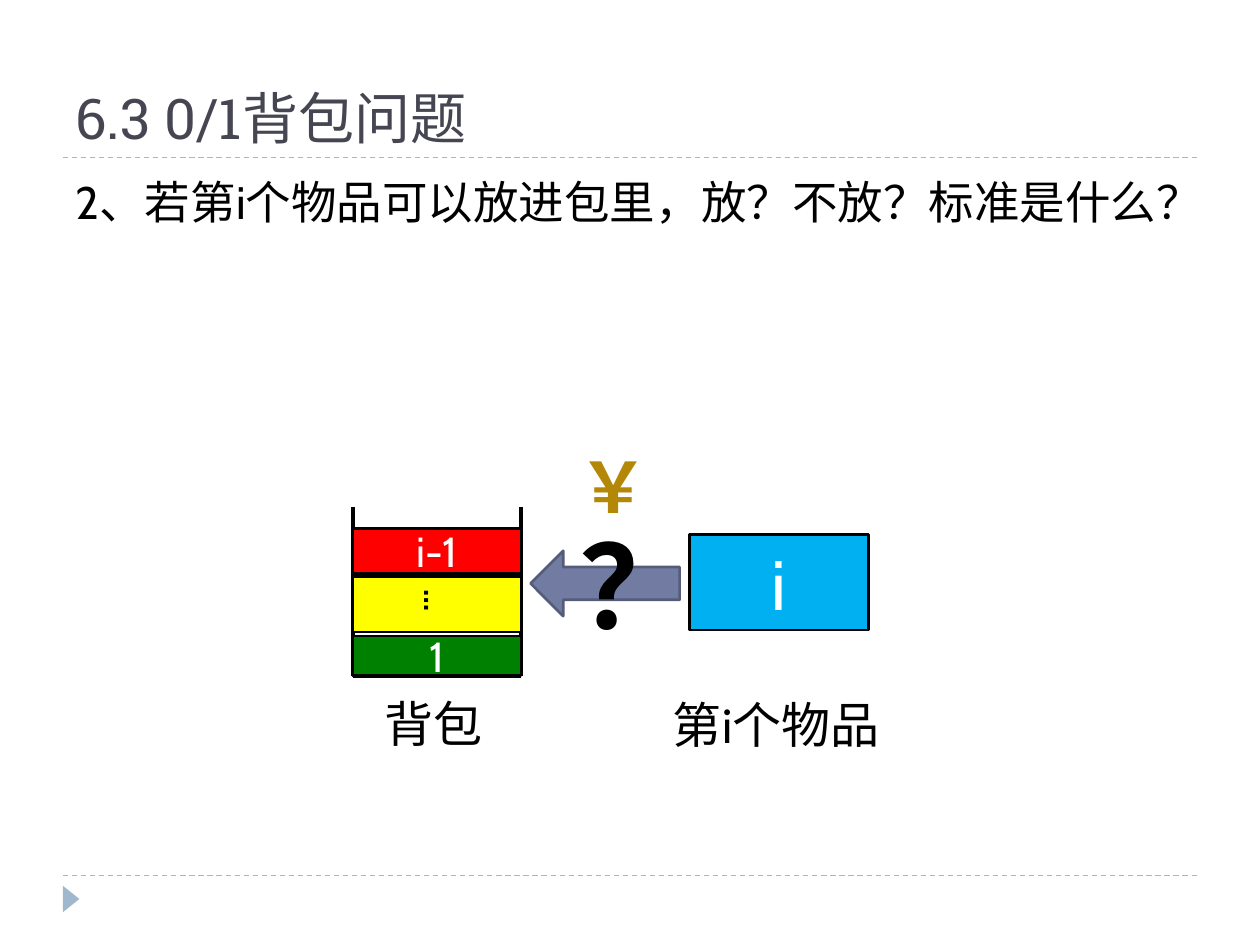
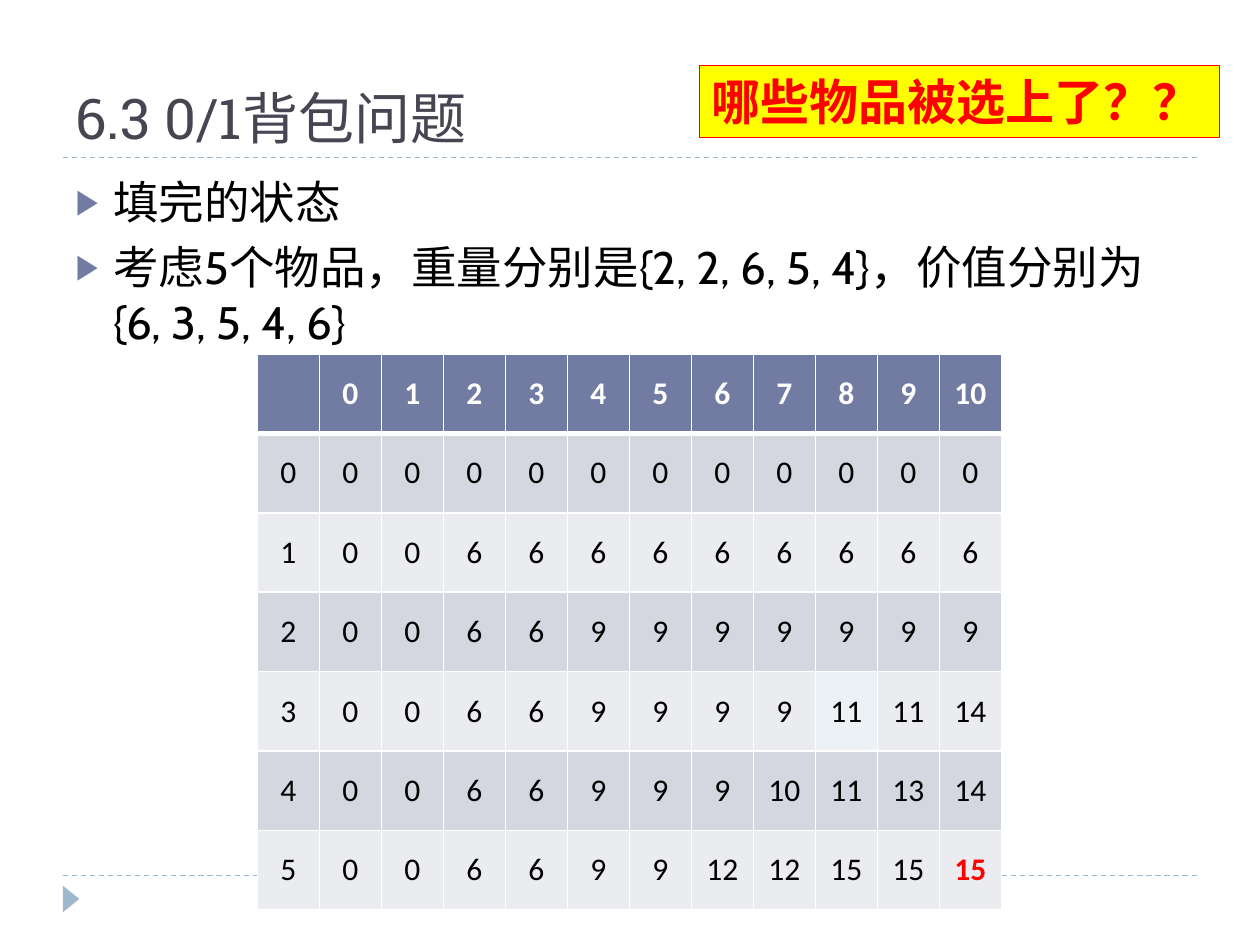
from dataclasses import dataclass

from lxml import etree
from pptx import Presentation
from pptx.dml.color import RGBColor
from pptx.enum import dml, shapes as kinds, text
from pptx.oxml import ns
from pptx.util import Pt


@dataclass(frozen=True)
class Theme:
    """Colours, fonts and type sizes of the deck."""
    ink: str = "000000"
    white: str = "FFFFFF"
    head: str = "464653"
    rule: str = "9FB8CD"
    main: str = "727CA3"
    edge: str = "545C79"
    red: str = "FF0000"
    yellow: str = "FFFF00"
    green: str = "008000"
    blue: str = "00B0F0"
    gold: str = "B38807"
    bands: tuple = ("D5D7E0", "EBECF0")
    pale: str = "ECF1F5"
    slab: str = "Roboto Slab"
    sans: str = "Cabin"
    plain: str = "Calibri"
    title: int = 32
    body: int = 26
    label: int = 28
    item: int = 24
    cell: int = 18
    big: int = 40
    huge: int = 66


T = Theme()
TITLE = "6.3 0/1背包问题"
LOADS, WORTHS, ROOM = [2, 2, 6, 5, 4], [6, 3, 5, 4, 6], 10
RECT = kinds.MSO_SHAPE.RECTANGLE
MID = text.MSO_ANCHOR.MIDDLE
CENTER = text.PP_ALIGN.CENTER


def rgb(code):
    """Turn a hex code into a colour."""
    return RGBColor.from_string(code)


def pts(*nums):
    """Turn numbers into lengths in points."""
    return [Pt(n) for n in nums]


def sub(node, tag, **attrs):
    """Append a DrawingML child to a node."""
    return etree.SubElement(node, ns.qn("a:" + tag), attrs)


def style(par, size, face, color=T.ink, bold=False, align=None):
    """Format one paragraph."""
    font = par.font
    font.size, font.name, font.bold = Pt(size), face, bold
    font.color.rgb = rgb(color)
    par.alignment = align


def paint(shape, fill, line=None, width=1.5):
    """Give a shape its flat fill and outline."""
    shape.fill.solid()
    shape.fill.fore_color.rgb = rgb(fill)
    if line:
        shape.line.color.rgb = rgb(line)
        shape.line.width = Pt(width)
    else:
        shape.line.fill.background()


def block(shapes, kind, box, fill, line=None):
    """Add a painted preset shape without shadow."""
    shape = shapes.add_shape(kind, *pts(*box))
    shape.shadow.inherit = False
    paint(shape, fill, line)
    return shape


def tile(shapes, box, fill, words, size, color=T.white, bold=False):
    """Add an outlined box with centred text."""
    shape = block(shapes, RECT, box, fill, T.ink)
    frame = shape.text_frame
    frame.text, frame.vertical_anchor = words, MID
    style(frame.paragraphs[0], size, T.sans, color, bold, CENTER)
    return shape


def label(shapes, box, words, size, color=T.ink, bold=False):
    """Add a wrapped text box."""
    shape = shapes.add_textbox(*pts(*box))
    frame = shape.text_frame
    frame.text, frame.word_wrap = words, True
    style(frame.paragraphs[0], size, T.plain, color, bold)
    return shape


def rule(shapes, ends, color, width, dash=None):
    """Add a straight line between two points."""
    line = shapes.add_connector(kinds.MSO_CONNECTOR.STRAIGHT, *pts(*ends))
    line.line.color.rgb = rgb(color)
    line.line.width = Pt(width)
    if dash:
        line.line.dash_style = dash
    sub(line.element.spPr, "effectLst")
    return line


def trim(layout, slide):
    """Draw the shared rules and corner mark, then move them to the layout."""
    parts = [rule(slide.shapes, (36, y, 684, y), T.rule, 0.75,
                  dml.MSO_LINE.DASH) for y in (500.4, 90)]
    mark = block(slide.shapes, kinds.MSO_SHAPE.ISOSCELES_TRIANGLE,
                 (33.1, 509, 15.1, 9.4), T.rule)
    mark.rotation = 90
    for part in parts + [mark]:
        layout.shapes.element.append(part.element)


def place(holder, box, anchor):
    """Move a placeholder and fix its text frame."""
    holder.left, holder.top, holder.width, holder.height = pts(*box)
    frame = holder.text_frame
    frame.auto_size = text.MSO_AUTO_SIZE.NONE
    frame.vertical_anchor = anchor
    return frame


def page(deck, layout, lines, bullets):
    """Add a slide with the shared title and its body text."""
    slide = deck.slides.add_slide(layout)
    head = place(slide.shapes.title, (36, 12.2, 648, 77.8),
                 text.MSO_ANCHOR.BOTTOM)
    head.text = TITLE
    style(head.paragraphs[0], T.title, T.slab, T.head,
          align=text.PP_ALIGN.LEFT)
    body = place(slide.placeholders[1], (36, 95.8, 648, 388.8),
                 text.MSO_ANCHOR.TOP)
    body.text = "\n".join(lines)
    for par in body.paragraphs:
        bullet(par, bullets)
        par.space_before = Pt(6)
        style(par, T.body, T.sans)
    return slide


def bullet(par, shown):
    """Set a hanging triangle bullet, or none."""
    props = par._p.get_or_add_pPr()
    hang = Pt(21.6) if shown else 0
    props.set("marL", str(hang))
    props.set("indent", str(-hang))
    if shown:
        sub(sub(props, "buClr"), "srgbClr", val=T.main)
        sub(props, "buSzPct", val="76000")
        sub(props, "buChar", char="▶")
    else:
        sub(props, "buNone")


def sack(shapes, x, y):
    """Draw the open knapsack with its items, label and incoming arrow."""
    group = shapes.add_group_shape().shapes
    wide, high = 96.2, 96.5
    right, base = x + wide, y + high
    for ends in ((x, y, x, base), (x, base, right, base),
                 (right, base, right, y)):
        rule(group, ends, T.ink, 2.25)
    tile(group, (x, y + 73.5, wide, 22.6), T.green, "1", T.item)
    dots = tile(group, (x, y + 39.6, wide, 31.7), T.yellow, "…", T.cell,
                T.ink, True)
    dots.element.txBody.bodyPr.set("vert", "eaVert")
    tile(group, (x, y + 12.2, wide, 25.5), T.red, "i-1", T.item)
    label(group, (x + 11, y + 103, 71.3, 41), "背包", T.label)
    block(group, kinds.MSO_SHAPE.LEFT_ARROW,
          (x + 101.7, y + 24.7, 85.2, 37.4), T.main, T.edge)


def thing(shapes, x, y):
    """Draw item i with its label and the question about its value."""
    label(shapes, (x - 16.6, y + 88, 133.9, 41), "第i个物品", T.label)
    tile(shapes, (x, y, 102.2, 54.7), T.blue, "i", T.big)
    label(shapes, (x - 69.8, y - 15.1, 81.4, 87.1), "？", T.huge, bold=True)
    label(shapes, (x - 70.6, y - 55.4, 54.7, 55.4), "￥", T.big, T.gold, True)


def solve():
    """Return the best value for each item count and capacity."""
    rows = [[0] * (ROOM + 1)]
    for load, worth in zip(LOADS, WORTHS):
        last = rows[-1]
        rows.append([max(best, last[cap - load] + worth) if cap >= load
                     else best for cap, best in enumerate(last)])
    return rows


def border(cell, row):
    """Draw white cell borders, thick below the header."""
    props = cell._tc.get_or_add_tcPr()
    thick = {(0, "B"), (1, "T")}
    for side in "LRTB":
        width = Pt(3 if (row, side) in thick else 1)
        line = sub(props, "ln" + side, w=str(width))
        sub(sub(line, "solidFill"), "srgbClr", val=T.white)


def grid(shapes, x, y, wide, high):
    """Draw the table of best values."""
    best = solve()
    rows = [["", *range(ROOM + 1)]] + [[i, *r] for i, r in enumerate(best)]
    count, span = len(rows), len(rows[0])
    table = shapes.add_table(count, span, *pts(x, y, wide, high)).table
    for col in table.columns:
        col.width = Pt(wide / span)
    for r, row in enumerate(rows):
        table.rows[r].height = Pt(high / count)
        for c, value in enumerate(row):
            cell = table.cell(r, c)
            border(cell, r)
            last = (r, c) == (count - 1, span - 1)
            fill = T.bands[(r - 1) % 2] if r else T.main
            if (r, c) == (4, 9):
                fill = T.pale
            cell.fill.solid()
            cell.fill.fore_color.rgb = rgb(fill)
            cell.text, cell.vertical_anchor = str(value), MID
            color = T.red if last else T.ink if r else T.white
            style(cell.text_frame.paragraphs[0], T.cell, T.plain, color,
                  last or r == 0, CENTER)


def callout(shapes, box):
    """Add the highlighted question."""
    note = label(shapes, box, "哪些物品被选上了？？", T.label, T.red, True)
    paint(note, T.yellow, T.red, 0.75)


def listed(nums):
    """Write numbers as a set."""
    return "{" + ", ".join(map(str, nums)) + "}"


def main():
    """Build and save the deck."""
    deck = Presentation()
    deck.slide_width, deck.slide_height = pts(720, 540)
    layout = deck.slide_layouts[1]

    choice = page(deck, layout, [
        "2、若第i个物品可以放进包里，放？不放？标准是什么？"], False)
    trim(layout, choice)
    sack(choice.shapes, 201.5, 290)
    thing(choice.shapes, 394, 305.3)

    result = page(deck, layout, [
        "填完的状态",
        f"考虑5个物品，重量分别是{listed(LOADS)}，价值分别为{listed(WORTHS)}",
    ], True)
    grid(result.shapes, 147, 202.3, 425.4, 317.5)
    callout(result.shapes, (399.6, 37.4, 297.4, 41.2))

    deck.save("out.pptx")


main()
